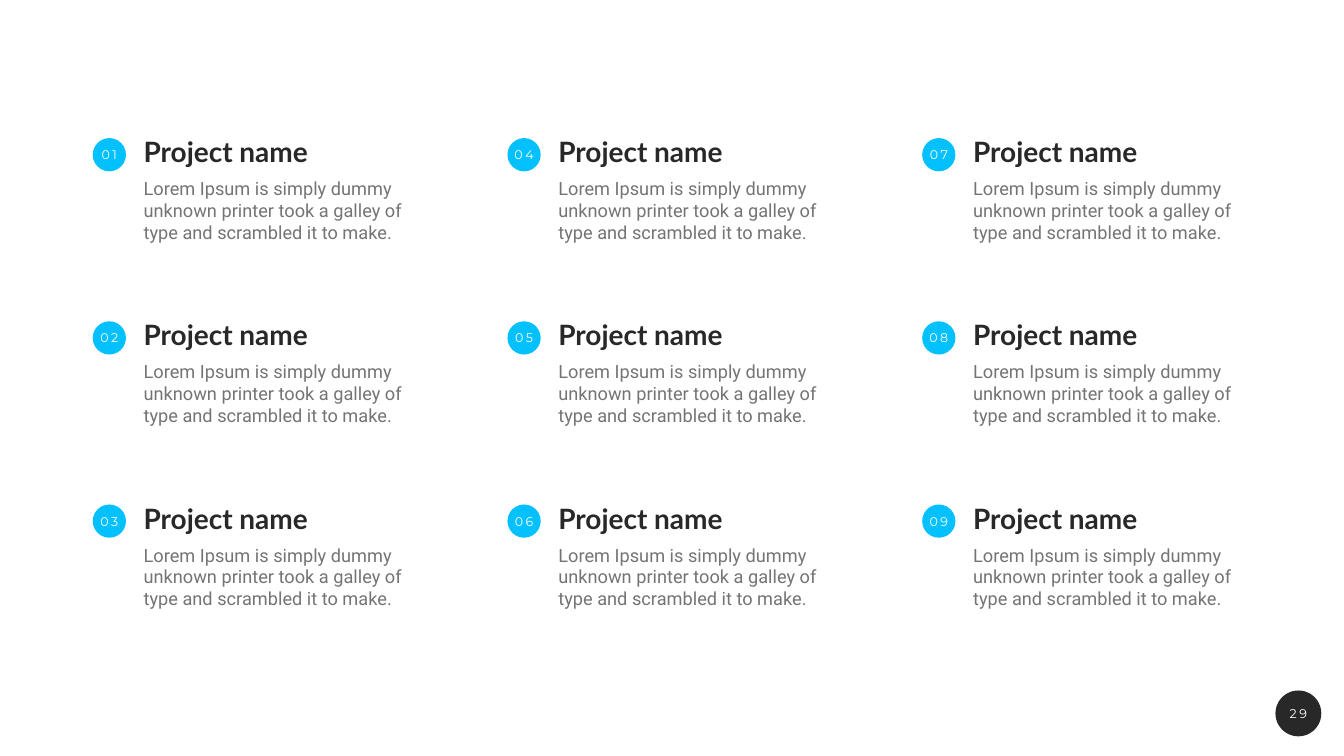
"""Build a slide with a three-by-three grid of numbered projects."""
from dataclasses import dataclass

from pptx import Presentation
from pptx.dml.color import RGBColor
from pptx.enum.shapes import MSO_SHAPE as Shape
from pptx.enum.text import MSO_ANCHOR as Anchor, MSO_AUTO_SIZE as AutoSize, PP_ALIGN as Align
from pptx.util import Inches, Pt

PROJECTS = [
    ("Project name",
     "Lorem Ipsum is simply dummy unknown printer took a galley of type and scrambled it to make.")
] * 9
PAGE_NUMBER = "29"

SLIDE_WIDTH, SLIDE_HEIGHT = 26.67, 15
ROWS = 3
GRID_LEFT, GRID_TOP = 1.84, 2.66
COLUMN_PITCH, ROW_PITCH = 8.23, 3.635
BADGE_SIZE, BADGE_DROP = 0.66, 0.08
TEXT_INDENT = 0.97
NAME_WIDTH, NAME_HEIGHT = 6.4, 0.78
BODY_WIDTH, BODY_HEIGHT, BODY_DROP = 5.39, 1.59, 0.82
LABEL_WIDTH, LABEL_HEIGHT = 0.51, 0.39
PAGE_BADGE_SIZE, PAGE_LABEL_WIDTH = 0.91, 0.66
PAGE_BADGE_LEFT, PAGE_BADGE_TOP = 25.31, 13.7
INSET = 0.04


@dataclass(frozen=True)
class TextStyle:
    font: str
    size: int
    color: str
    bold: bool = False
    tracking: int = 0
    line_spacing: float = 1.0


@dataclass(frozen=True)
class Theme:
    accent: str = "03C0FE"
    dark: str = "282828"
    name: TextStyle = TextStyle("Lato", 40, "282828", bold=True, line_spacing=0.9)
    body: TextStyle = TextStyle("Roboto", 26, "727574")
    label: TextStyle = TextStyle("Montserrat", 18, "FFFFFF", tracking=360)


THEME = Theme()


def add_text(shapes, text, bounds, style, align=Align.LEFT, anchor=Anchor.TOP, wrap=True, grow=True):
    box = shapes.add_textbox(*map(Inches, bounds))
    frame = box.text_frame
    frame.text = text
    frame.word_wrap = wrap
    frame.auto_size = AutoSize.SHAPE_TO_FIT_TEXT if grow else AutoSize.NONE
    frame.vertical_anchor = anchor
    frame.margin_left = frame.margin_right = Inches(INSET)
    frame.margin_top = frame.margin_bottom = Inches(INSET)
    para = frame.paragraphs[0]
    para.alignment = align
    para.line_spacing = style.line_spacing
    span = para.runs[0]
    span.font.name = style.font
    span.font.size = Pt(style.size)
    span.font.bold = style.bold
    span.font.color.rgb = RGBColor.from_string(style.color)
    if style.tracking:
        span.font._element.set("spc", str(style.tracking))


def add_badge(shapes, text, left, top, size, color, label_width, wrap=False):
    circle = shapes.add_shape(Shape.OVAL, *map(Inches, (left, top, size, size)))
    circle.shadow.inherit = False
    circle.fill.solid()
    circle.fill.fore_color.rgb = RGBColor.from_string(color)
    circle.line.fill.background()
    bounds = (left + (size - label_width) / 2, top + (size - LABEL_HEIGHT) / 2,
              label_width, LABEL_HEIGHT)
    add_text(shapes, text, bounds, THEME.label, Align.CENTER, Anchor.MIDDLE, wrap)


def add_project(page, index, name, body):
    column, row = divmod(index, ROWS)
    left = GRID_LEFT + column * COLUMN_PITCH
    top = GRID_TOP + row * ROW_PITCH
    text_left = left + TEXT_INDENT
    add_text(page.shapes, body, (text_left, top + BODY_DROP, BODY_WIDTH, BODY_HEIGHT),
             THEME.body, grow=False)
    add_text(page.shapes, name, (text_left, top, NAME_WIDTH, NAME_HEIGHT),
             THEME.name, anchor=Anchor.MIDDLE)
    group = page.shapes.add_group_shape()
    add_badge(group.shapes, f"{index + 1:02}", left, top + BADGE_DROP,
              BADGE_SIZE, THEME.accent, LABEL_WIDTH)


def main():
    deck = Presentation()
    deck.slide_width, deck.slide_height = Inches(SLIDE_WIDTH), Inches(SLIDE_HEIGHT)
    page = deck.slides.add_slide(deck.slide_layouts[6])
    add_badge(page.shapes, PAGE_NUMBER, PAGE_BADGE_LEFT, PAGE_BADGE_TOP,
              PAGE_BADGE_SIZE, THEME.dark, PAGE_LABEL_WIDTH, wrap=True)
    for index, (name, body) in enumerate(PROJECTS):
        add_project(page, index, name, body)
    deck.save("out.pptx")


if __name__ == "__main__":
    main()
